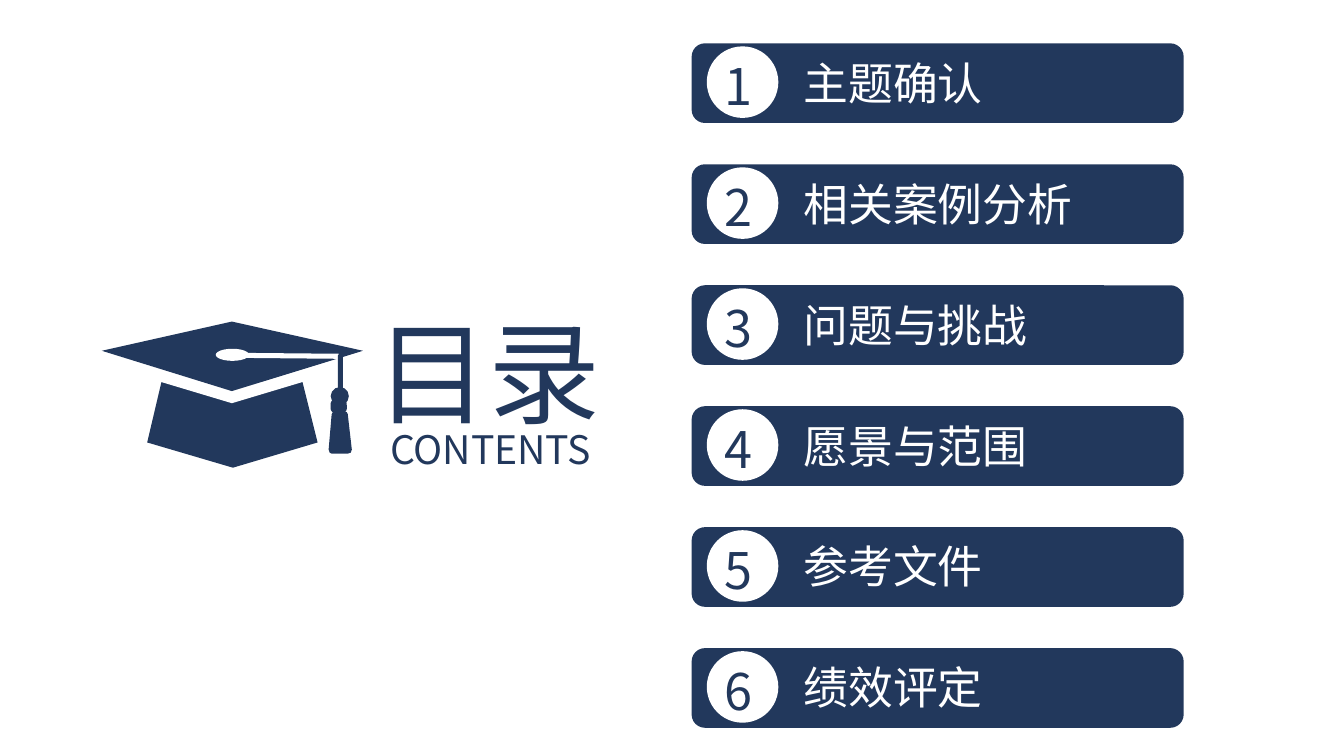
import pptx
import pptx.dml.color
import pptx.enum.shapes
import pptx.enum.text
import pptx.oxml
import pptx.oxml.ns
import pptx.util

PX = 9144  # EMU in one px, at 100 px to the inch
NAVY = "22385C"
WHITE = "FFFFFF"
FONT = "Noto Sans CJK SC"
PRESET = pptx.enum.shapes.MSO_SHAPE
ALIGN = pptx.enum.text.PP_ALIGN

TOPICS = ["主题确认", "相关案例分析", "问题与挑战", "愿景与范围", "参考文件", "绩效评定"]
FIRST_TOP = 43
ROW_PITCH = 120


def color(hex_value):
    return pptx.dml.color.RGBColor.from_string(hex_value)


def paint(shape, fill):
    shape.fill.solid()
    shape.fill.fore_color.rgb = color(fill)
    shape.line.fill.background()
    shape.shadow.inherit = False


def add_preset(shapes, preset, box, fill):
    shape = shapes.add_shape(preset, *(value * PX for value in box))
    paint(shape, fill)
    return shape


def add_outline(shapes, points, fill):
    builder = shapes.build_freeform(*points[0], scale=PX)
    builder.add_line_segments(points[1:], close=True)
    paint(builder.convert_to_shape(), fill)


def add_label(shapes, text, box, size, fill, align=ALIGN.JUSTIFY):
    frame = shapes.add_textbox(*(value * PX for value in box)).text_frame
    frame.word_wrap = True
    frame.auto_size = pptx.enum.text.MSO_AUTO_SIZE.SHAPE_TO_FIT_TEXT
    frame.text = text
    paragraph = frame.paragraphs[0]
    paragraph.alignment = align
    font = paragraph.runs[0].font
    font.size = pptx.util.Pt(size)
    font.name = FONT
    font.color.rgb = color(fill)
    # Chinese characters take the East Asian typeface
    east_asian = pptx.oxml.parse_xml(
        f'<a:ea {pptx.oxml.ns.nsdecls("a")} typeface="{FONT}"/>')
    paragraph.runs[0].font._element.append(east_asian)


def add_graduation_cap(slide):
    cap = slide.shapes.add_group_shape().shapes

    # Crown, the gap below the board, and the board
    add_outline(cap, [(315, 439), (231, 464), (146, 439), (163, 367), (297, 367)], NAVY)
    add_outline(cap, [(360, 348), (230, 319), (100, 348), (100, 361), (230, 400),
                      (360, 361)], WHITE)
    add_outline(cap, [(230, 388), (101, 348), (230, 319), (360, 348)], NAVY)

    # Cord across the board and down its side
    add_outline(cap, [(338, 354), (335, 356), (227, 355), (225, 352), (228, 350),
                      (336, 351)], WHITE)
    cord = add_preset(cap, PRESET.ROUNDED_RECTANGLE, (335, 351, 5, 38), NAVY)
    cord.adjustments[0] = 0.5

    # Tassel: knot, fringe and band
    add_preset(cap, PRESET.OVAL, (328, 384, 18, 18), NAVY)
    add_outline(cap, [(349, 446), (348, 449), (345, 450), (329, 450), (327, 449),
                      (326, 446), (329, 411), (330, 409), (332, 408), (342, 408),
                      (344, 409), (345, 411)], NAVY)
    band = add_preset(cap, PRESET.ROUNDED_RECTANGLE, (328, 397, 16, 12), NAVY)
    band.adjustments[0] = 0.28

    # Button
    add_preset(cap, PRESET.OVAL, (214, 346, 33, 12), WHITE)


def add_topic(slide, number, topic, top):
    row = slide.shapes.add_group_shape().shapes
    add_preset(row, PRESET.ROUNDED_RECTANGLE, (686, top, 488, 79), NAVY)
    add_preset(row, PRESET.OVAL, (701, top + 3, 71, 71), WHITE)
    add_label(row, str(number), (709, top + 7, 58, 71), 36, NAVY, ALIGN.LEFT)
    add_label(row, topic, (787, top + 7, 369, 64), 32, WHITE)


def main():
    deck = pptx.Presentation()
    deck.slide_width = 1333 * PX
    deck.slide_height = 750 * PX
    slide = deck.slides.add_slide(deck.slide_layouts[6])

    # Title side
    add_graduation_cap(slide)
    add_label(slide.shapes, "目录", (364, 296, 259, 145), 80, NAVY)
    add_label(slide.shapes, "CONTENTS", (377, 417, 235, 57), 28, NAVY)

    # Numbered topics
    for index, topic in enumerate(TOPICS):
        add_topic(slide, index + 1, topic, FIRST_TOP + index * ROW_PITCH)

    deck.save("out.pptx")


if __name__ == "__main__":
    main()
